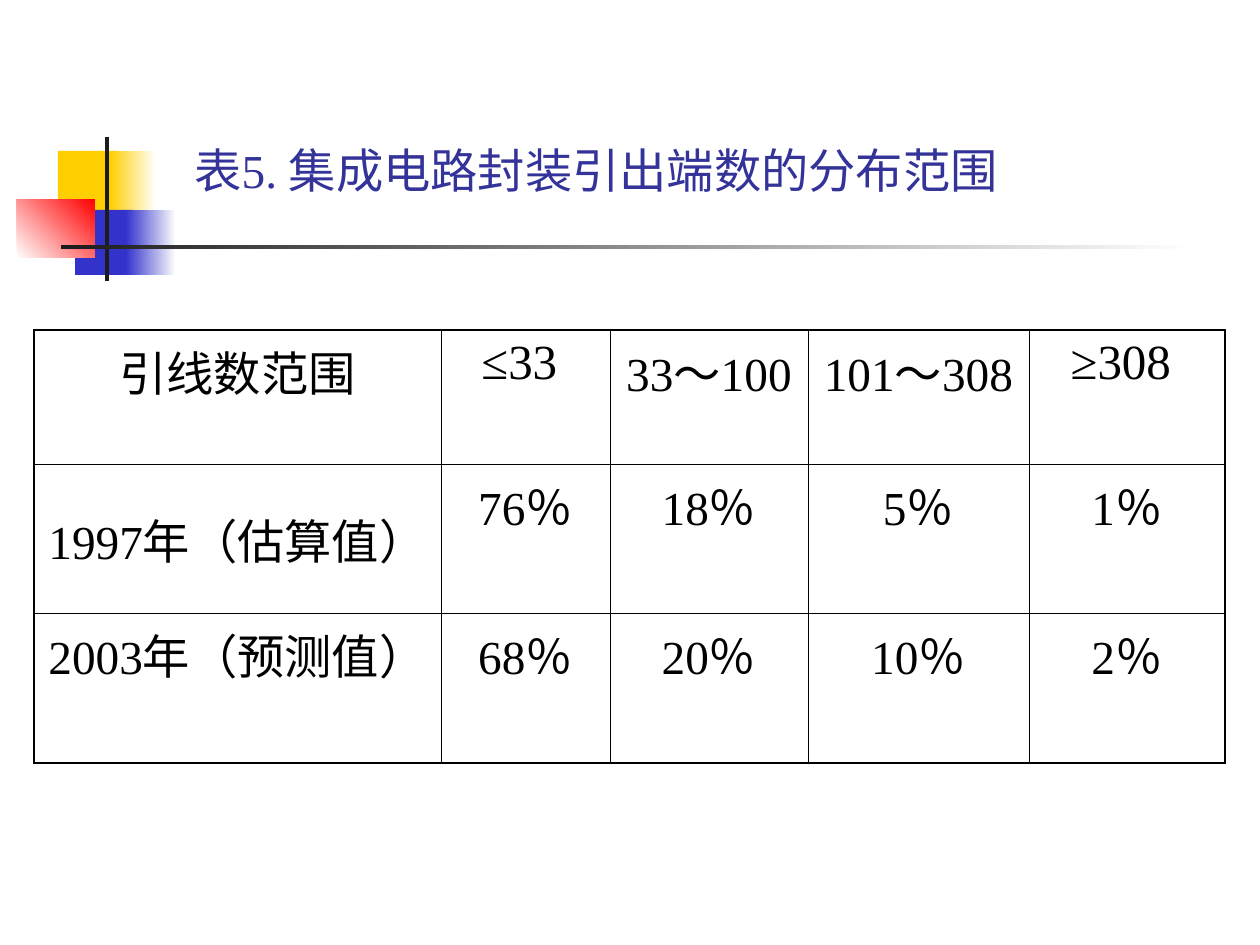
from lxml import etree
from pptx import Presentation
from pptx.dml.color import RGBColor
from pptx.enum.shapes import MSO_SHAPE
from pptx.enum.text import MSO_ANCHOR, PP_ALIGN
from pptx.oxml.ns import qn
from pptx.util import Pt

RECT = MSO_SHAPE.RECTANGLE
LEFT, CENTER = PP_ALIGN.LEFT, PP_ALIGN.CENTER
TOP, MIDDLE = MSO_ANCHOR.TOP, MSO_ANCHOR.MIDDLE
SCALE = 914400 / 126

THEME = {
    "font": "Times New Roman",
    "title": "333399",
    "ink": "000000",
    "yellow": "FFCF01",
    "blue": "3333CC",
    "red": "FF0000",
    "dark": "1C1C1C",
    "white": "FFFFFF",
    "size": 27,
    "limit": 28,
    "thin": 0.45,
    "thick": 1.08,
}


def emu(*px):
    return [round(n * SCALE) for n in px]


def write(frame, text, size="size", color="ink", align=CENTER):
    para = frame.paragraphs[0]
    para.alignment = align
    run = para.add_run()
    run.text = text
    run.font.name = THEME["font"]
    run.font.size = Pt(THEME[size])
    run.font.color.rgb = RGBColor.from_string(THEME[color])


deck = Presentation()
deck.slide_width, deck.slide_height = emu(1260, 945)
slide = deck.slides.add_slide(deck.slide_layouts[6])

# Corner ornament: box in px, start colour, end colour, gradient angle
blocks = [
    ((58, 151, 60, 66), "yellow", None, 0),
    ((110, 151, 46, 66), "yellow", "white", 0),
    ((75, 210, 58, 65), "blue", None, 0),
    ((126, 210, 50, 65), "blue", "white", 0),
    ((17, 199, 78, 59), "white", "red", 45),
    ((105, 137, 4, 144), "dark", None, 0),
    ((61, 245, 1134, 4), "dark", "white", 0),
]
for box, start, end, angle in blocks:
    block = slide.shapes.add_shape(RECT, *emu(*box))
    block.shadow.inherit = False
    block.line.fill.background()
    if end:
        block.fill.gradient()
        block.fill.gradient_angle = angle
        for stop, name in zip(block.fill.gradient_stops, (start, end)):
            stop.color.rgb = RGBColor.from_string(THEME[name])
    else:
        block.fill.solid()
        block.fill.fore_color.rgb = RGBColor.from_string(THEME[start])

# Title
title = slide.shapes.add_textbox(*emu(182, 140, 920, 59)).text_frame
title.word_wrap = True
title.vertical_anchor = MIDDLE
write(title, "表5. 集成电路封装引出端数的分布范围", color="title", align=LEFT)

# Table
rows = [
    ["引线数范围", "≤33 ", "33～100", "101～308", "≥308 "],
    ["1997年（估算值）", "76％", "18％", "5％", "1％"],
    ["2003年（预测值）", "68％", "20％", "10％", "2％"],
]
widths = [407, 169, 198, 221, 196]
heights = [134, 149, 150]
last_row, last_col = len(rows) - 1, len(widths) - 1
table = slide.shapes.add_table(
    len(rows), len(widths), *emu(34, 330, sum(widths), sum(heights))
).table
table.first_row = table.horz_banding = False
for col, width in zip(table.columns, emu(*widths)):
    col.width = width
for line, height in zip(table.rows, emu(*heights)):
    line.height = height

for r, row in enumerate(rows):
    for c, text in enumerate(row):
        cell = table.cell(r, c)
        cell.fill.background()
        cell.vertical_anchor = MIDDLE if (r, c) == (1, 0) else TOP
        write(cell.text_frame, text, size="limit" if text[0] in "≤≥" else "size")
        outer = {"lnL": c == 0, "lnR": c == last_col,
                 "lnT": r == 0, "lnB": r == last_row}
        props = cell._tc.get_or_add_tcPr()
        for i, (side, edge) in enumerate(outer.items()):
            rule = etree.Element(qn("a:" + side))
            rule.set("w", str(Pt(THEME["thick" if edge else "thin"])))
            fill = etree.SubElement(rule, qn("a:solidFill"))
            etree.SubElement(fill, qn("a:srgbClr")).set("val", THEME["ink"])
            props.insert(i, rule)

deck.save("out.pptx")
